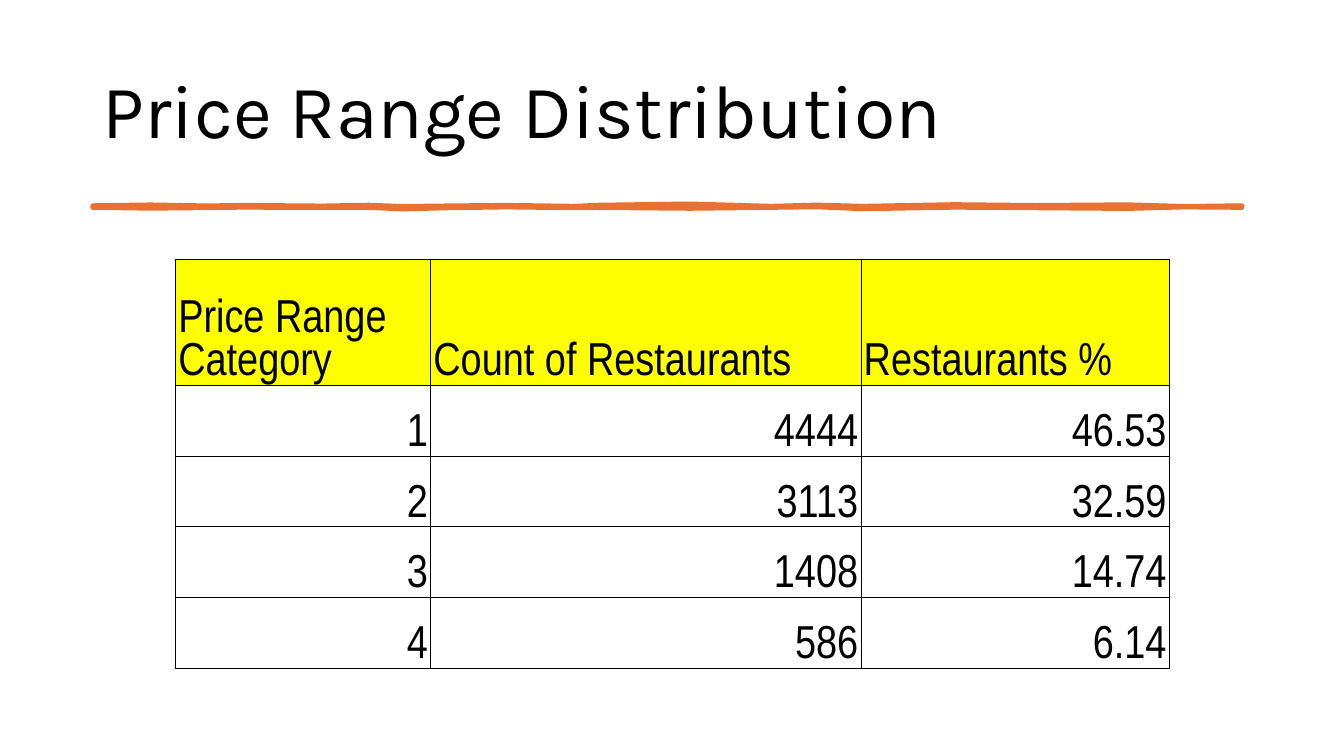
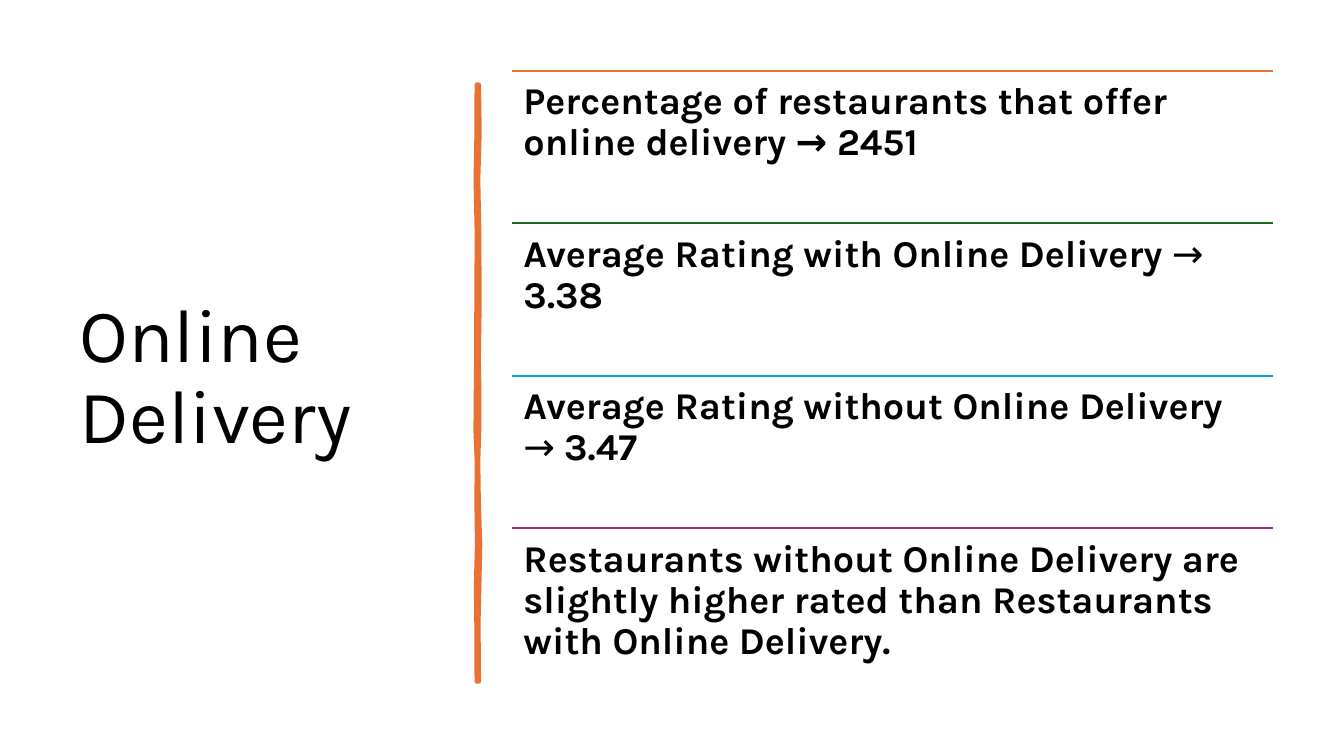
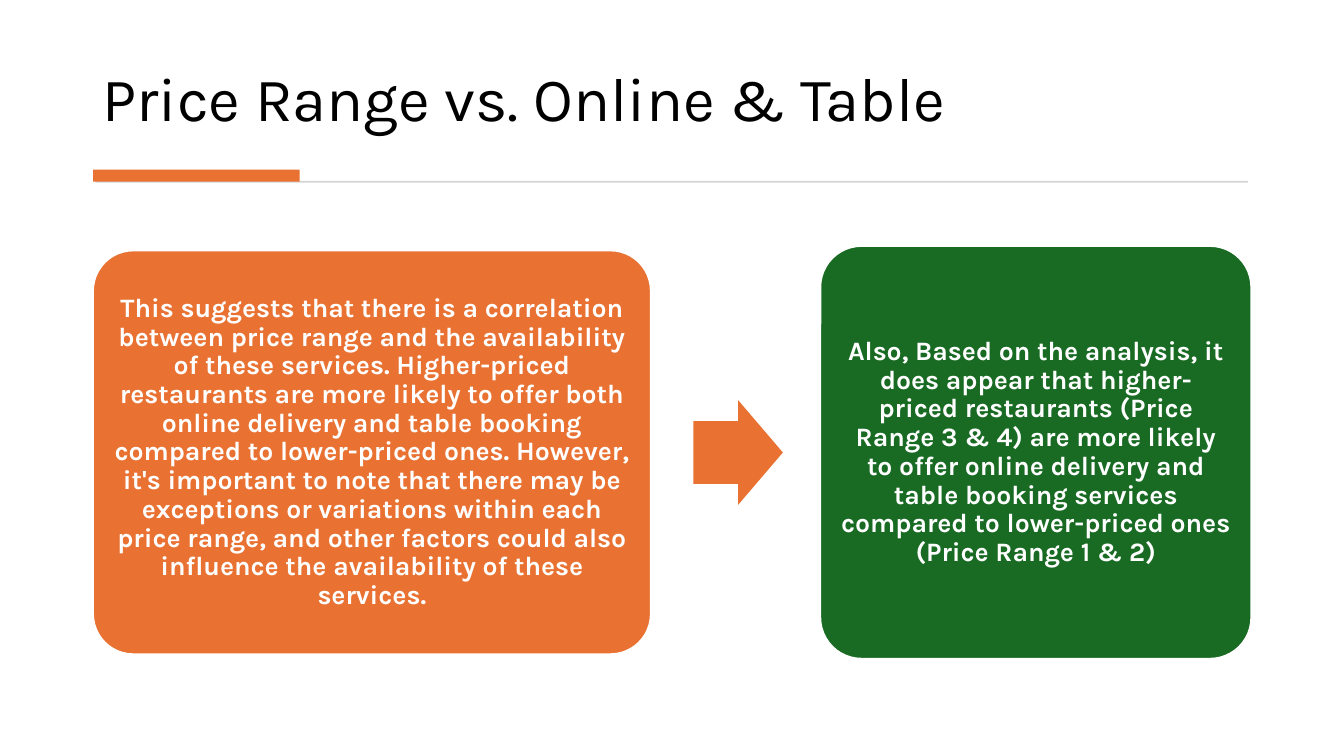
"""Build three slides on restaurant prices and online delivery."""
from pptx import Presentation
from pptx.dml.color import RGBColor
from pptx.enum import shapes, text
from pptx.oxml import parse_xml
from pptx.oxml.ns import nsdecls
from pptx.util import Pt

ORANGE = RGBColor(0xE9, 0x71, 0x32)
GREEN = RGBColor(0x19, 0x6B, 0x24)
BLUE = RGBColor(0x0F, 0x9E, 0xD5)
PURPLE = RGBColor(0xA0, 0x2B, 0x93)
YELLOW = RGBColor(0xFF, 0xFF, 0x00)
GREY = RGBColor(0xD5, 0xD5, 0xD5)
BLACK = RGBColor(0, 0, 0)
WHITE = RGBColor(0xFF, 0xFF, 0xFF)
LEFT, CENTER, RIGHT = text.PP_ALIGN.LEFT, text.PP_ALIGN.CENTER, text.PP_ALIGN.RIGHT
TOP, MIDDLE, BOTTOM = text.MSO_ANCHOR.TOP, text.MSO_ANCHOR.MIDDLE, text.MSO_ANCHOR.BOTTOM


def style_text(frame, size, color=BLACK, align=LEFT, anchor=MIDDLE, bold=False, margin=None):
    """Format the single paragraph of a text frame."""
    frame.word_wrap = True
    frame.auto_size = text.MSO_AUTO_SIZE.NONE
    frame.vertical_anchor = anchor
    if margin is not None:
        frame.margin_left = frame.margin_right = Pt(margin)
        frame.margin_top = frame.margin_bottom = Pt(margin)
    para = frame.paragraphs[0]
    para.alignment = align
    para.line_spacing = 0.9
    for span in para.runs:
        span.font.name = "Karla"
        span.font.size = Pt(size)
        span.font.bold = bold
        span.font.color.rgb = color


def draw_brush(page, start, center, length, edges, vertical=False):
    """Draw a hand-painted stroke from (fraction, upper, lower) edges."""
    upper = [(start + length * part, center - rise) for part, rise, drop in edges]
    lower = [(start + length * part, center + drop) for part, rise, drop in edges]
    outline = upper + lower[::-1]
    if vertical:
        outline = [(y, x) for x, y in outline]
    points = [(Pt(x), Pt(y)) for x, y in outline]
    builder = page.shapes.build_freeform(*points[0])
    builder.add_line_segments(points[1:])
    stroke = builder.convert_to_shape()
    stroke.shadow.inherit = False
    stroke.fill.solid()
    stroke.fill.fore_color.rgb = ORANGE
    stroke.line.color.rgb = ORANGE
    stroke.line.width = Pt(3.25)


deck = Presentation()
deck.slide_width, deck.slide_height = Pt(960), Pt(540)

pages = []
for heading, size, anchor, place in [
    ("Price Range Distribution", 54, MIDDLE, (66, 29, 828, 104.4)),
    ("Online Delivery", 54, MIDDLE, (49.7, 50.4, 269.3, 440)),
    ("Price Range vs. Online & Table", 44, BOTTOM, (66, 20, 827, 80)),
]:
    page = deck.slides.add_slide(deck.slide_layouts[5])
    title = page.shapes.title
    title.left, title.top, title.width, title.height = map(Pt, place)
    title.text_frame.text = heading
    style_text(title.text_frame, size, anchor=anchor)
    pages.append(page)
price_page, delivery_page, services_page = pages

draw_brush(price_page, 66.2, 147.6, 821, [
    (0, 0.7, 0.7), (0.05, 1.3, 1.3), (0.1, 0.6, 0.9), (0.13, 1, 0.6),
    (0.2, 0.5, 0.8), (0.24, 1.1, 0.8), (0.27, 0.2, 1.8), (0.31, 0.6, 1),
    (0.36, 1, 0.4), (0.42, 0.3, 1), (0.44, 1.1, 0.8), (0.52, 2, 1.4),
    (0.59, 0.3, 0.7), (0.63, 1.2, 0.3), (0.67, 0.3, 1.7), (0.75, 1.5, 0.6),
    (0.82, 0.9, 1), (0.9, 1.4, 1.5), (0.95, 0.2, 0.4), (1, 0.7, 0.7),
])

widths = [182.2, 307.4, 220.3]
heights = [90] + [50.5] * 4
rows = [
    ("Price Range Category", "Count of Restaurants", "Restaurants %"),
    ("1", "4444", "46.53"),
    ("2", "3113", "32.59"),
    ("3", "1408", "14.74"),
    ("4", "586", "6.14"),
]
table = price_page.shapes.add_table(
    len(rows), len(widths), Pt(125.4), Pt(185.3), Pt(sum(widths)), Pt(sum(heights))
).table
table.first_row = table.horz_banding = False
for column, width in zip(table.columns, widths):
    column.width = Pt(width)
for r, (height, values) in enumerate(zip(heights, rows)):
    table.rows[r].height = Pt(height)
    for c, value in enumerate(values):
        cell = table.cell(r, c)
        cell.text = value
        cell.vertical_anchor = BOTTOM
        cell.margin_left = cell.margin_right = cell.margin_top = Pt(2)
        cell.margin_bottom = 0
        para = cell.text_frame.paragraphs[0]
        para.alignment = RIGHT if r else LEFT
        font = para.runs[0].font
        font.name, font.size, font.bold = "Arial Narrow", Pt(33), False
        font.color.rgb = BLACK
        properties = cell._tc.get_or_add_tcPr()
        for side in "LRTB":
            properties.append(parse_xml(
                f'<a:ln{side} {nsdecls("a")} w="6350"><a:solidFill>'
                f'<a:srgbClr val="{BLACK}"/></a:solidFill></a:ln{side}>'
            ))
        if r:
            cell.fill.background()
        else:
            cell.fill.solid()
            cell.fill.fore_color.rgb = YELLOW

draw_brush(delivery_page, 60.5, 341.3, 426.2, [
    (0, 0.7, 0.7), (0.08, 0.8, 1.2), (0.16, 1.4, 0.2), (0.25, 0.6, 1),
    (0.38, 0.9, 1.1), (0.46, 1, 0.6), (0.5, 1.2, 0.9), (0.58, 1.5, 0.9),
    (0.63, 0.6, 0.2), (0.7, 0.8, 0.6), (0.77, 0.4, 1.6), (0.84, 1.2, 1),
    (0.9, 0.9, 0.4), (1, 0.7, 0.7),
], vertical=True)

findings = [
    (ORANGE, ["Percentage of restaurants that offer online delivery → 2451"]),
    (GREEN, ["Average Rating with Online Delivery ", "→ ", "3.38"]),
    (BLUE, ["Average Rating without Online Delivery ", "→ ", "3.47"]),
    (PURPLE, ["Restaurants without Online Delivery are slightly higher rated "
              "than Restaurants with Online Delivery."]),
]
left, width, step = 365.8, 543.6, 109
for i, (color, pieces) in enumerate(findings):
    top = 50.4 + i * step
    rule = delivery_page.shapes.add_connector(
        shapes.MSO_CONNECTOR.STRAIGHT, Pt(left), Pt(top), Pt(left + width), Pt(top)
    )
    rule.line.color.rgb = color
    rule.line.width = Pt(1.5)
    rule._element.spPr.append(parse_xml(f'<a:effectLst {nsdecls("a")}/>'))
    box = delivery_page.shapes.add_textbox(Pt(left), Pt(top), Pt(width), Pt(step))
    para = box.text_frame.paragraphs[0]
    for piece in pieces:
        para.add_run().text = piece
    style_text(box.text_frame, 27, anchor=TOP, bold=True, margin=8.1)
    for span in para.runs:
        span.font.bold = span.text != "→ "

RECTANGLE = shapes.MSO_SHAPE.RECTANGLE
ROUNDED = shapes.MSO_SHAPE.ROUNDED_RECTANGLE
ARROW = shapes.MSO_SHAPE.RIGHT_ARROW
for kind, place, color, adjustments, words in [
    (RECTANGLE, (68.4, 129.2, 823, 1.3), GREY, [], ""),
    (RECTANGLE, (66.5, 121.2, 147.6, 8.6), ORANGE, [], ""),
    (ROUNDED, (66.4, 178.8, 398.6, 288.6), ORANGE, [0.1],
     "This suggests that there is a correlation between price range and the "
     "availability of these services. Higher-priced restaurants are more likely "
     "to offer both online delivery and table booking compared to lower-priced "
     "ones. However, it's important to note that there may be exceptions or "
     "variations within each price range, and other factors could also influence "
     "the availability of these services."),
    (ARROW, (495.2, 285.8, 64, 74.9), ORANGE, [0.6, 0.5], ""),
    (ROUNDED, (585.9, 175.6, 308, 295), GREEN, [0.1],
     "Also, Based on the analysis, it does appear that higher-priced restaurants "
     "(Price Range 3 & 4) are more likely to offer online delivery and table "
     "booking services compared to lower-priced ones (Price Range 1 & 2)"),
]:
    shape = services_page.shapes.add_shape(kind, *map(Pt, place))
    shape.shadow.inherit = False
    shape.fill.solid()
    shape.fill.fore_color.rgb = color
    for i, value in enumerate(adjustments):
        shape.adjustments[i] = value
    if words:
        shape.line.color.rgb = WHITE
        shape.line.width = Pt(1.5)
        shape.text_frame.text = words
        style_text(shape.text_frame, 19, WHITE, CENTER, bold=True, margin=5.7)
    else:
        shape.line.fill.background()

deck.save("out.pptx")
